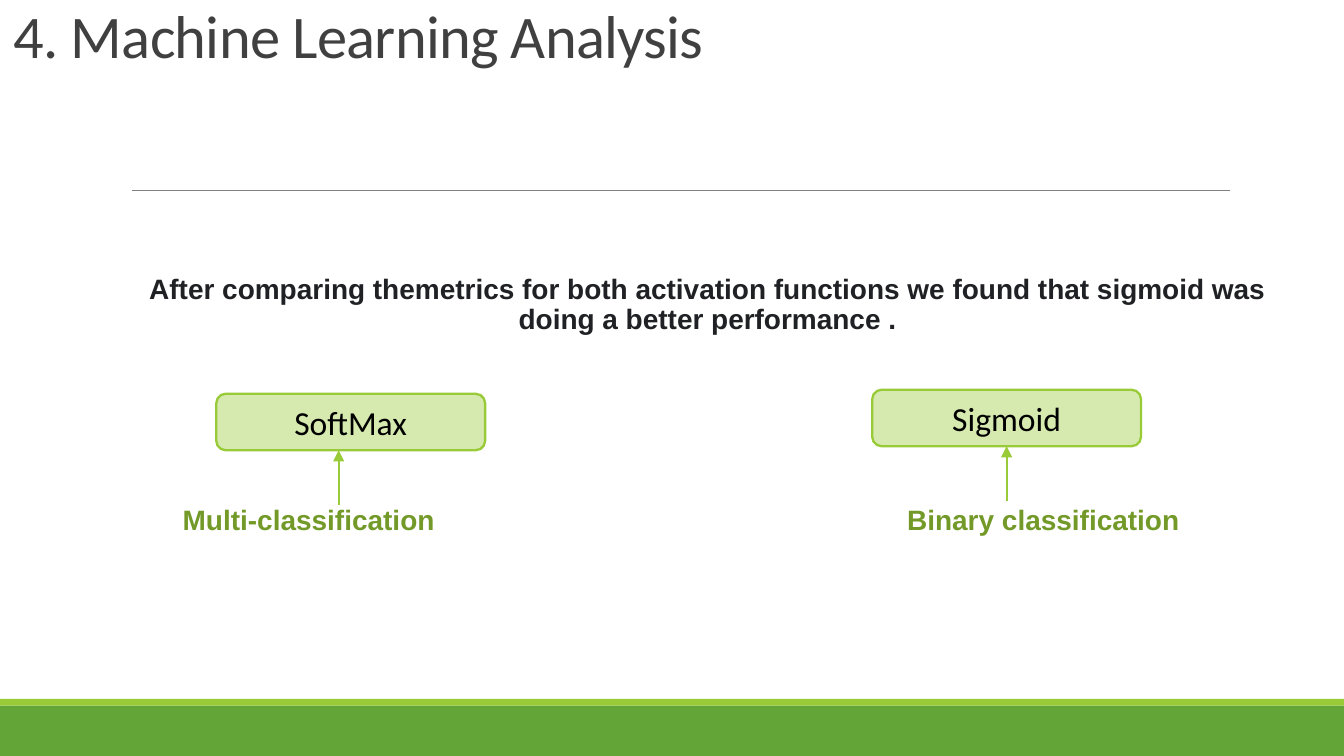
import pptx
import pptx.util
import pptx.dml.color
import pptx.enum.shapes
import pptx.enum.text
import pptx.oxml
import pptx.oxml.ns

WIDTH = 10
HEIGHT = WIDTH * 9 / 16
LIME, GREEN = "99CB38", "63A537"
inches = pptx.util.Inches
points = pptx.util.Pt
SHAPES = pptx.enum.shapes.MSO_SHAPE
ALIGN = pptx.enum.text.PP_ALIGN
ANCHOR = pptx.enum.text.MSO_ANCHOR


def color(value):
    return pptx.dml.color.RGBColor.from_string(value)


def write(frame, text, size, font, hue, bold=False, align=ALIGN.CENTER,
          anchor=ANCHOR.MIDDLE, spacing=1.0):
    """Fill a text frame with one formatted run and return the run."""
    frame.word_wrap = True
    frame.auto_size = pptx.enum.text.MSO_AUTO_SIZE.NONE
    frame.vertical_anchor = anchor
    para = frame.paragraphs[0]
    para.alignment = align
    para.line_spacing = spacing
    span = para.add_run()
    span.text = text
    span.font.size = points(size)
    span.font.name = font
    span.font.bold = bold
    span.font.color.rgb = color(hue)
    return span


def add_title(page, text):
    title = page.shapes.title
    title.left, title.top = inches(0), inches(0)
    title.width, title.height = inches(9.15), inches(0.58)
    span = write(title.text_frame, text, 32.4, "Calibri", "404040",
                 align=ALIGN.LEFT, anchor=ANCHOR.BOTTOM, spacing=0.85)
    span.font._element.set("spc", "-40")


def add_text(page, left, top, width, height, text, hue, **options):
    box = page.shapes.add_textbox(inches(left), inches(top), inches(width), inches(height))
    box.text_frame.margin_left = box.text_frame.margin_right = 0
    write(box.text_frame, text, 15, "Arial", hue, bold=True, spacing=0.9, **options)


def add_block(page, kind, left, top, width, height, fill, line=None):
    block = page.shapes.add_shape(kind, inches(left), inches(top), inches(width), inches(height))
    block.shadow.inherit = False
    block.fill.solid()
    block.fill.fore_color.rgb = color(fill)
    if line:
        block.line.color.rgb = color(line)
        block.line.width = points(1.25)
    else:
        block.line.fill.background()
    return block


def add_line(page, start, end, hue, weight, arrow=False):
    line = page.shapes.add_connector(pptx.enum.shapes.MSO_CONNECTOR.STRAIGHT,
                                     *map(inches, start + end))
    line.line.color.rgb = color(hue)
    line.line.width = points(weight)
    if arrow:
        head = pptx.oxml.parse_xml(
            f'<a:tailEnd {pptx.oxml.ns.nsdecls("a")} type="triangle"/>')
        line.line._get_or_add_ln().append(head)
    line._element.spPr.append(
        pptx.oxml.parse_xml(f'<a:effectLst {pptx.oxml.ns.nsdecls("a")}/>'))
    return line


def add_activation(page, name, left, top, arrow_x, label, label_left):
    """Add a function's box, its task label below and the arrow between them."""
    width, height = 2, 0.42
    block = add_block(page, SHAPES.ROUNDED_RECTANGLE, left, top, width, height, "D6EAAF", LIME)
    write(block.text_frame, name, 18, "Calibri", "000000")
    bottom = top + height
    arrow = add_line(page, (arrow_x, bottom + 0.41), (arrow_x, bottom), LIME, 1, arrow=True)
    if arrow_x == left + width / 2:
        arrow.end_connect(block, 2)
    add_text(page, label_left, 3.73, 2.3, 0.3, label, "739A28", align=ALIGN.LEFT)


def main():
    deck = pptx.Presentation()
    deck.slide_width, deck.slide_height = inches(WIDTH), inches(HEIGHT)
    page = deck.slides.add_slide(deck.slide_layouts.get_by_name("Title Only"))

    add_block(page, SHAPES.RECTANGLE, 0, 5.25, WIDTH, HEIGHT - 5.25, GREEN)
    add_block(page, SHAPES.RECTANGLE, 0, 5.2, WIDTH, 0.05, LIME)
    add_line(page, (0.98, 1.42), (9.15, 1.42), "808080", 0.5)
    add_title(page, "4. Machine Learning Analysis")
    add_text(page, 0.94, 2, 8.65, 0.6,
             "After comparing themetrics for both activation functions "
             "we found that sigmoid was doing a better performance .",
             "202124", anchor=ANCHOR.TOP)
    add_activation(page, "Sigmoid", 6.49, 2.9, 7.49, "Binary classification", 6.75)
    add_activation(page, "SoftMax", 1.61, 2.93, 2.52, "Multi-classification", 1.36)

    deck.save("out.pptx")


if __name__ == "__main__":
    main()
